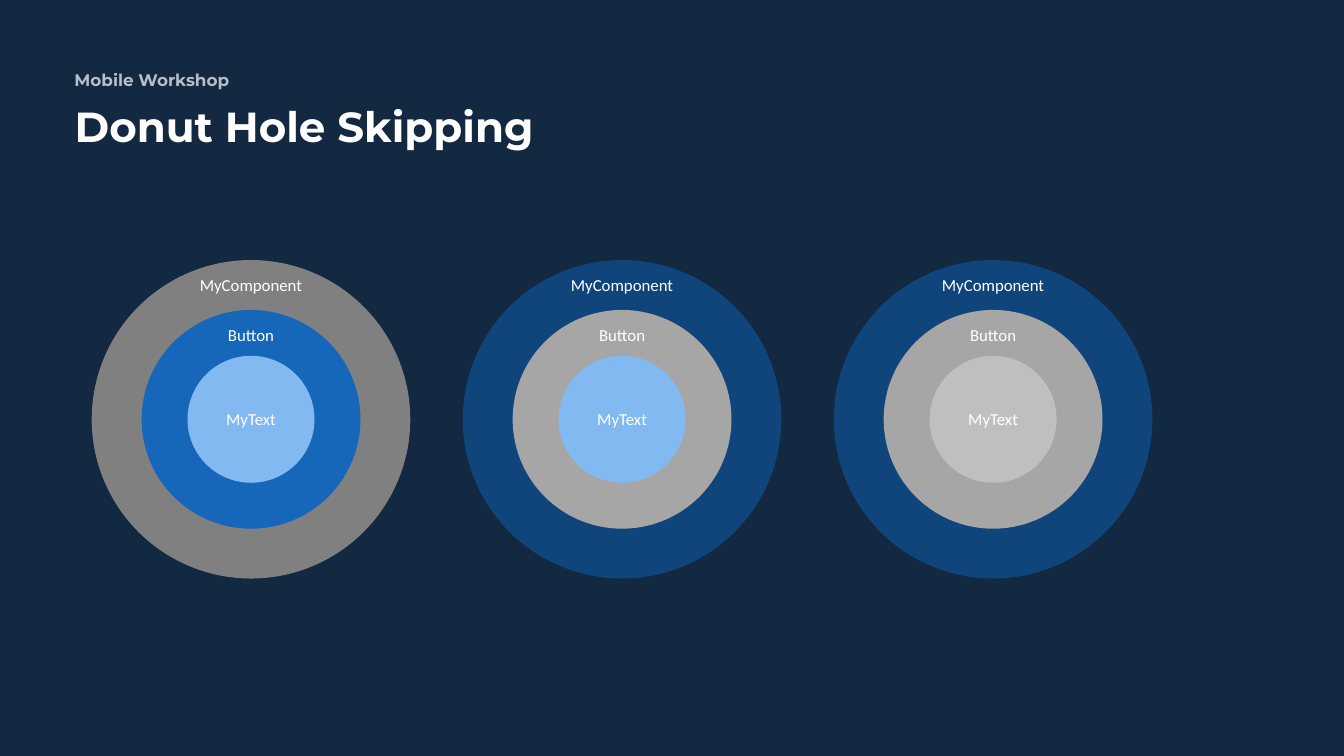
from dataclasses import dataclass

from lxml.etree import SubElement
from pptx import Presentation
from pptx.dml.color import RGBColor
from pptx.enum.shapes import MSO_SHAPE as Shape
from pptx.enum.text import MSO_ANCHOR as Anchor, PP_ALIGN as Align
from pptx.oxml.ns import qn
from pptx.util import Inches, Pt

COLORS = {
    "background": "132841",
    "white": "FFFFFF",
    "navy": "0F457B",
    "blue": "1667B9",
    "sky": "82B9F0",
    "dark_gray": "808080",
    "gray": "A6A6A6",
    "light_gray": "BFBFBF",
}


@dataclass(frozen=True)
class Ring:
    label: str
    diameter: float
    label_top: float


@dataclass(frozen=True)
class Donut:
    center_x: float
    ring_colors: tuple[str, str, str]


CENTER_Y = 4.16
FIRST_CENTER_X = 2.49
DONUT_PITCH = 3.68
LABEL_WIDTH, LABEL_HEIGHT = 3.16, 0.3

# Rings from the outside in
RINGS = (
    Ring("MyComponent", 3.16, 2.68),
    Ring("Button", 2.17, 3.17),
    Ring("MyText", 1.26, 4.01),
)
PALETTES = (
    ("dark_gray", "blue", "sky"),
    ("navy", "gray", "sky"),
    ("navy", "gray", "light_gray"),
)
DONUTS = [
    Donut(FIRST_CENTER_X + index * DONUT_PITCH, palette)
    for index, palette in enumerate(PALETTES)
]


def rgb(name: str) -> RGBColor:
    return RGBColor.from_string(COLORS[name])


def write_text(shape, text: str, *, size: float = 12, font: str = "Calibri",
               bold: bool = False, align=Align.LEFT, opacity: int = 100) -> None:
    """Fill a shape with one formatted line of white text."""
    frame = shape.text_frame
    frame.word_wrap = True
    frame.vertical_anchor = Anchor.MIDDLE
    paragraph = frame.paragraphs[0]
    paragraph.alignment = align
    run = paragraph.add_run()
    run.text = text
    run.font.size = Pt(size)
    run.font.name = font
    run.font.bold = bold
    run.font.color.rgb = rgb("white")
    if opacity < 100:
        color = run.font.fill._xPr.find(qn("a:solidFill"))[0]
        SubElement(color, qn("a:alpha")).set("val", str(opacity * 1000))


def add_circle(shapes, center_x: float, diameter: float, color: str) -> None:
    circle = shapes.add_shape(
        Shape.OVAL, Inches(center_x - diameter / 2), Inches(CENTER_Y - diameter / 2),
        Inches(diameter), Inches(diameter))
    circle.shadow.inherit = False
    circle.fill.solid()
    circle.fill.fore_color.rgb = rgb(color)
    circle.line.fill.background()


def add_donut(slide, donut: Donut) -> None:
    shapes = slide.shapes.add_group_shape().shapes
    for ring, color in zip(RINGS, donut.ring_colors):
        add_circle(shapes, donut.center_x, ring.diameter, color)
    for ring in RINGS:
        label = shapes.add_textbox(
            Inches(donut.center_x - LABEL_WIDTH / 2), Inches(ring.label_top),
            Inches(LABEL_WIDTH), Inches(LABEL_HEIGHT))
        write_text(label, ring.label, align=Align.CENTER)


def main() -> None:
    presentation = Presentation()
    presentation.slide_width = Inches(13.33)
    presentation.slide_height = Inches(7.5)
    slide = presentation.slides.add_slide(presentation.slide_layouts[5])
    slide.background.fill.solid()
    slide.background.fill.fore_color.rgb = rgb("background")

    # Heading
    title = slide.shapes.title
    title.left, title.top = Inches(0.64), Inches(0.94)
    title.width, title.height = Inches(10), Inches(0.61)
    write_text(title, "Donut Hole Skipping", size=30, font="Montserrat", bold=True)
    section = slide.shapes.add_textbox(
        Inches(0.64), Inches(0.64), Inches(10), Inches(0.3))
    write_text(section, "Mobile Workshop", font="Montserrat", bold=True, opacity=70)

    # Nested components
    for donut in DONUTS:
        add_donut(slide, donut)

    presentation.save("out.pptx")


if __name__ == "__main__":
    main()
